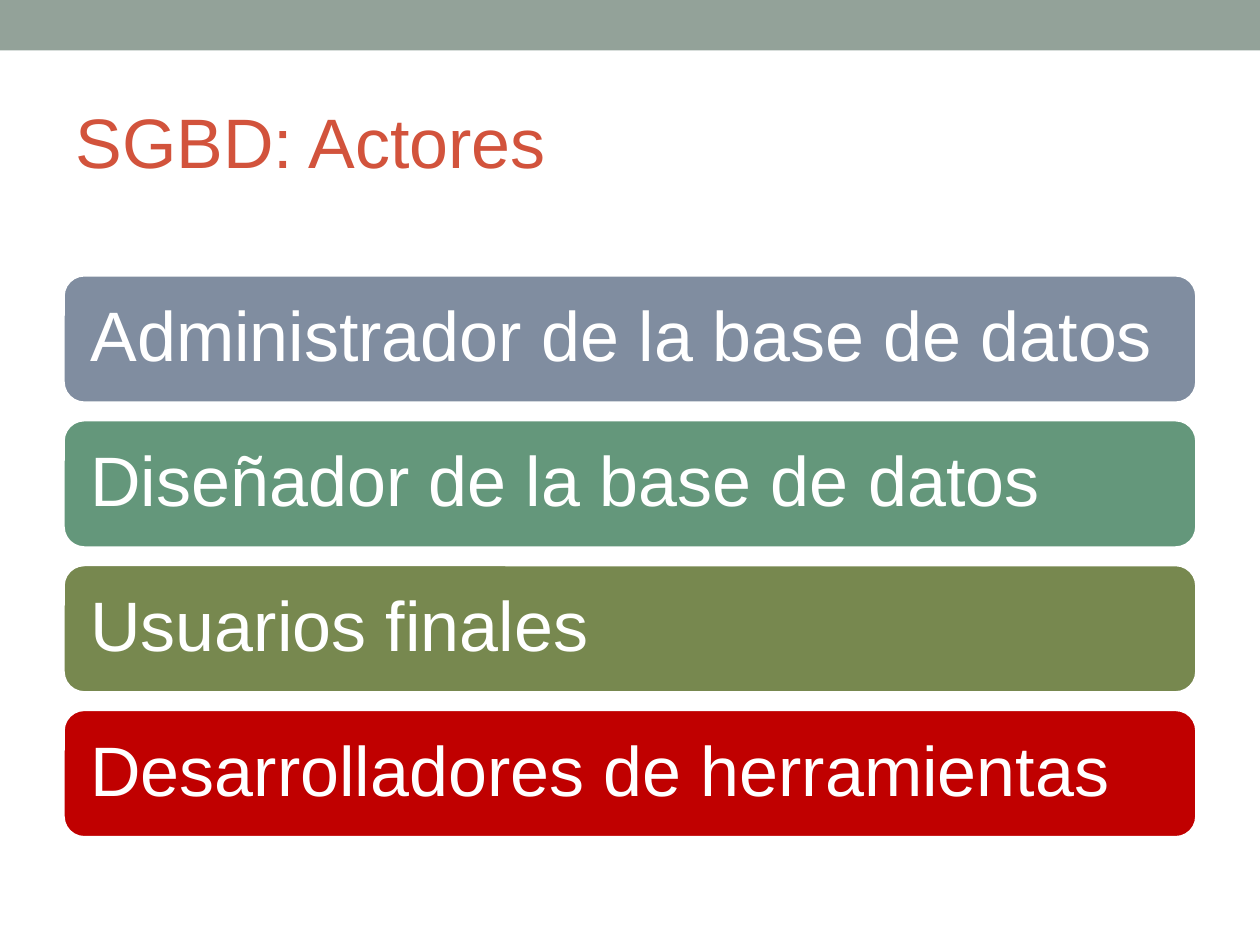
from dataclasses import dataclass

from pptx import Presentation
from pptx.dml.color import RGBColor
from pptx.enum.shapes import MSO_SHAPE
from pptx.enum.text import MSO_ANCHOR, PP_ALIGN
from pptx.util import Cm, Pt


@dataclass(frozen=True)
class Theme:
    font: str = "Arial"
    size: int = 40
    band: str = "93A299"
    title: str = "D2533C"
    white: str = "FFFFFF"


THEME = Theme()
WIDTH, HEIGHT = Cm(25.4), Cm(19.05)
LEFT, SPAN = Cm(1.27), Cm(22.86)
TOP, STEP, TALL = Cm(5.54), Cm(2.92), Cm(2.59)
ACTORS = [
    ("Administrador de la base de datos", "808DA0"),
    ("Diseñador de la base de datos", "64977B"),
    ("Usuarios finales", "77884F"),
    ("Desarrolladores de herramientas", "C00000"),
]


def write(shape, text, color, pad_x, pad_y, line=1.0, after=0):
    frame = shape.text_frame
    frame.word_wrap = True
    frame.vertical_anchor = MSO_ANCHOR.MIDDLE
    frame.margin_left = frame.margin_right = pad_x
    frame.margin_top = frame.margin_bottom = pad_y
    par = frame.paragraphs[0]
    par.alignment = PP_ALIGN.LEFT
    par.line_spacing = line
    par.space_before, par.space_after = Pt(0), Pt(after)
    run = par.add_run()
    run.text = text
    run.font.name = THEME.font
    run.font.size = Pt(THEME.size)
    run.font.color.rgb = RGBColor.from_string(color)


def add_box(slide, kind, box, fill):
    shape = slide.shapes.add_shape(kind, *box)
    shape.shadow.inherit = False
    shape.fill.solid()
    shape.fill.fore_color.rgb = RGBColor.from_string(fill)
    shape.line.fill.background()
    return shape


def add_title(slide, text):
    title = slide.shapes.title
    title.left, title.top = LEFT, Cm(1.47)
    title.width, title.height = SPAN, Cm(2.74)
    write(title, text, THEME.title, Cm(0.25), Cm(0.13))


def add_actor(slide, row, name, fill):
    box = (LEFT, TOP + row * STEP, SPAN, TALL)
    bar = add_box(slide, MSO_SHAPE.ROUNDED_RECTANGLE, box, fill)
    bar.line.color.rgb = RGBColor.from_string(THEME.white)
    bar.line.width = Pt(2.08)
    write(bar, name, THEME.white, Cm(0.43), Cm(0.43), line=0.9, after=14)


def main():
    deck = Presentation()
    deck.slide_width, deck.slide_height = WIDTH, HEIGHT
    slide = deck.slides.add_slide(deck.slide_layouts[5])
    add_box(slide, MSO_SHAPE.RECTANGLE, (0, 0, WIDTH, Cm(1.02)), THEME.band)
    add_title(slide, "SGBD: Actores")
    for row, (name, fill) in enumerate(ACTORS):
        add_actor(slide, row, name, fill)
    deck.save("out.pptx")


if __name__ == "__main__":
    main()
